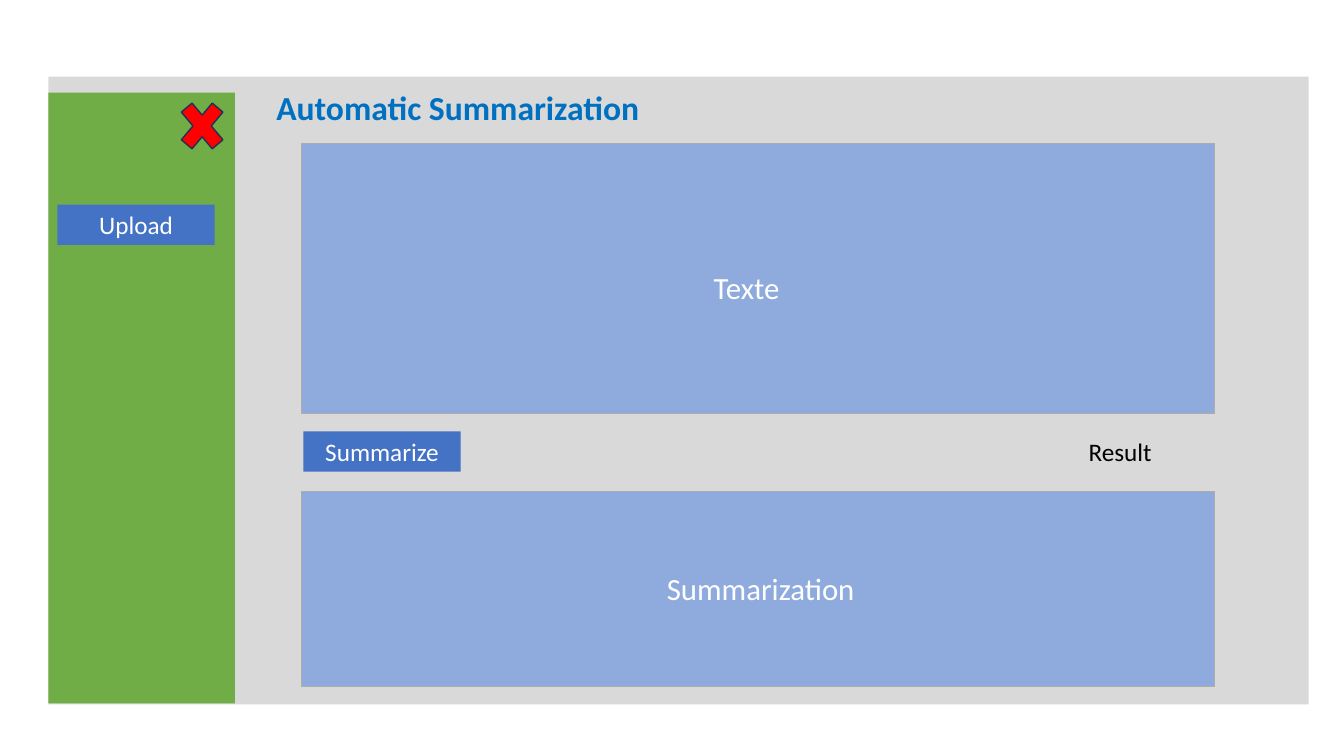
from dataclasses import dataclass

from pptx import Presentation, util as u
from pptx.dml.color import RGBColor
from pptx.enum import shapes, text


@dataclass(frozen=True)
class Theme:
    font: str = "Calibri"
    window: str = "D9D9D9"
    sidebar: str = "70AD47"
    panel: str = "8FAADC"
    panel_edge: str = "AFABAB"
    button: str = "4472C4"
    close: str = "FF0000"
    close_edge: str = "1E3256"
    heading: str = "0070C0"
    dark: str = "000000"
    light: str = "FFFFFF"
    heading_size: int = 24
    panel_size: int = 22
    label_size: int = 18


class Mockup:
    PX = 9144

    def __init__(self, slide, theme):
        self.slide = slide
        self.theme = theme

    def emu(self, *lengths):
        return [u.Emu(length * self.PX) for length in lengths]

    def set_words(self, holder, words, size, color, align, bold=False):
        frame = holder.text_frame
        frame.text = words
        frame.word_wrap = True
        frame.auto_size = text.MSO_AUTO_SIZE.NONE
        frame.vertical_anchor = text.MSO_ANCHOR.TOP
        paragraph = frame.paragraphs[0]
        paragraph.alignment = align
        font = paragraph.runs[0].font
        font.name = self.theme.font
        font.size = u.Pt(size)
        font.bold = bold
        font.color.rgb = RGBColor.from_string(color)

    def title(self, words, left, top, width, height):
        heading = self.slide.shapes.title
        heading.left, heading.top, heading.width, heading.height = self.emu(left, top, width, height)
        self.set_words(heading, words, self.theme.heading_size, self.theme.heading,
                       text.PP_ALIGN.LEFT, bold=True)
        heading.element.getparent().append(heading.element)

    def block(self, left, top, width, height, fill, edge=None, edge_width=1,
              kind=shapes.MSO_SHAPE.RECTANGLE):
        area = self.slide.shapes.add_shape(kind, *self.emu(left, top, width, height))
        area.shadow.inherit = False
        area.fill.solid()
        area.fill.fore_color.rgb = RGBColor.from_string(fill)
        if edge:
            area.line.color.rgb = RGBColor.from_string(edge)
            area.line.width = u.Pt(edge_width)
        else:
            area.line.fill.background()
        return area

    def panel(self, top, height):
        self.block(299, top, 906, height, self.theme.panel, self.theme.panel_edge, 0.75)

    def button(self, words, left, top):
        control = self.block(left, top, 156, 40, self.theme.button)
        self.set_words(control, words, self.theme.label_size, self.theme.light,
                       text.PP_ALIGN.CENTER)

    def label(self, words, left, top, width, height, size, color):
        caption = self.slide.shapes.add_textbox(*self.emu(left, top, width, height))
        self.set_words(caption, words, size, color, text.PP_ALIGN.CENTER)


def main():
    theme = Theme()
    deck = Presentation()
    deck.slide_width, deck.slide_height = u.Inches(13.33), u.Inches(7.5)
    mockup = Mockup(deck.slides.add_slide(deck.slide_layouts[5]), theme)

    mockup.block(48, 76, 1250, 623, theme.window)
    mockup.block(48, 92, 185, 606, theme.sidebar)
    mockup.panel(142, 268)
    mockup.panel(488, 193)
    mockup.title("Automatic Summarization", 264, 81, 497, 50)
    mockup.block(171, 90, 59, 70, theme.close, theme.close_edge,
                 kind=shapes.MSO_SHAPE.MATH_MULTIPLY)
    mockup.button("Upload", 57, 203)
    mockup.button("Summarize", 301, 428)
    mockup.label("Result", 1033, 428, 156, 40, theme.label_size, theme.dark)
    mockup.label("Texte", 648, 262, 185, 47, theme.panel_size, theme.light)
    mockup.label("Summarization", 648, 560, 213, 47, theme.panel_size, theme.light)

    deck.save("out.pptx")


if __name__ == "__main__":
    main()
